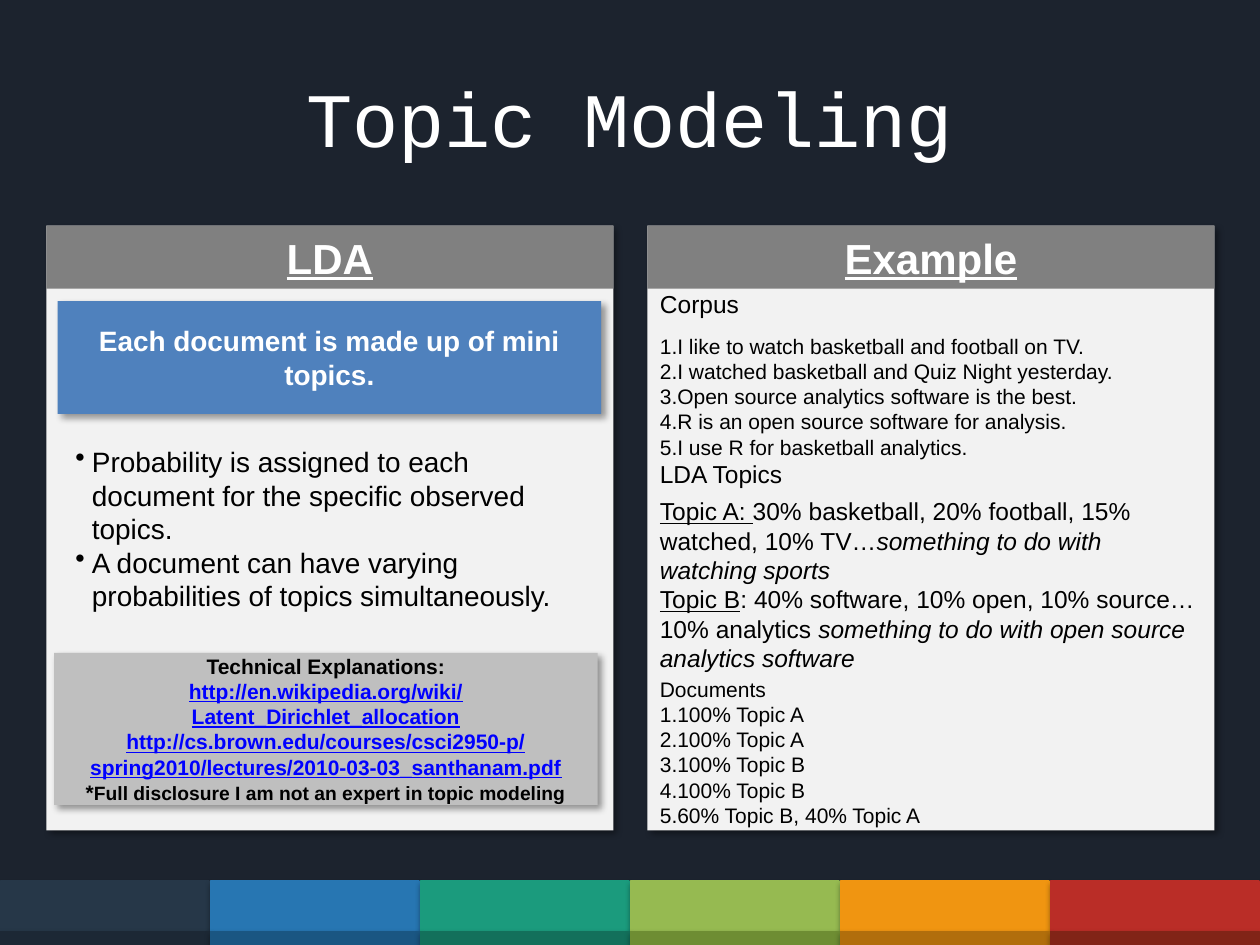
"""Build the Topic Modeling slide."""
import pptx
import pptx.dml.color
import pptx.enum.shapes
import pptx.enum.text
import pptx.oxml
import pptx.oxml.ns
import pptx.util

Pt = pptx.util.Pt
ALIGN = pptx.enum.text.PP_ALIGN
ANCHOR = pptx.enum.text.MSO_ANCHOR
FIT = pptx.enum.text.MSO_AUTO_SIZE
RECT = pptx.enum.shapes.MSO_SHAPE.RECTANGLE

COLORS = {
    "back": "1C232E", "panel": "F2F2F2", "header": "808080", "blue": "4F81BD",
    "note": "BFBFBF", "white": "FFFFFF", "black": "000000", "link": "0000FF",
}
STRIPES = [
    ("263748", "1C2835"), ("2776B2", "1A5682"), ("1B9B7D", "13705B"),
    ("96BA51", "6E8D33"), ("F09511", "B16E0C"), ("BA2D27", "812417"),
]
STRIPE_ROWS = [(503.5, 29), (532.5, 7.5)]
PANELS = [("LDA", 26.5), ("Example", 370)]
PANEL_TOP, PANEL_W, PANEL_H, HEADER_H = 129, 324, 345.5, 36

KEY_POINT = ["Each document is made up of mini topics."]
POINTS = [
    "Probability is assigned to each document for the specific observed topics.",
    "A document can have varying probabilities of topics simultaneously.",
]
LINK = {"color": "link", "underline": True}
EXPLANATIONS = [
    "Technical Explanations:",
    [("http://en.wikipedia.org/wiki/Latent_Dirichlet_allocation", LINK)],
    [("http://cs.brown.edu/courses/csci2950-p/spring2010/lectures/2010-03-03_santhanam.pdf", LINK)],
    [("*", {}), ("Full disclosure I am not an expert in topic modeling", {"size": 11})],
]
CORPUS = [
    "I like to watch basketball and football on TV.",
    "I watched basketball and Quiz Night yesterday.",
    "Open source analytics software is the best.",
    "R is an open source software for analysis.",
    "I use R for basketball analytics.",
]
TOPICS = [
    [("Topic A: ", {"underline": True}),
     ("30% basketball, 20% football, 15% watched, 10% TV…", {}),
     ("something to do with watching sports", {"italic": True})],
    [("Topic B", {"underline": True}),
     (": 40% software, 10% open, 10% source…10% analytics ", {}),
     ("something to do with open source analytics software", {"italic": True})],
]
DOCUMENTS = [
    "Documents", "100% Topic A", "100% Topic A", "100% Topic B",
    "100% Topic B", "60% Topic B, 40% Topic A",
]
BULLET = '<a:buChar {} char="•"/>'
NUMBER = '<a:buAutoNum {} type="arabicPeriod"/>'
SOFT = {"alpha": 35, "blur": 3.15, "dist": 1.8, "angle": 90}
DEEP = {"alpha": 40, "blur": 4, "dist": 3, "angle": 45}


def rgb(value):
    return pptx.dml.color.RGBColor.from_string(value)


def add_xml(parent, xml):
    parent.append(pptx.oxml.parse_xml(xml.format(pptx.oxml.ns.nsdecls("a"))))


def add_rect(slide, box, fill, line=None, shadow=None):
    sp = slide.shapes.add_shape(RECT, *map(Pt, box))
    sp.fill.solid()
    sp.fill.fore_color.rgb = rgb(fill)
    if line:
        sp.line.color.rgb = rgb(line)
        sp.line.width = Pt(0.75)
    else:
        sp.line.fill.background()
    sp.shadow.inherit = False
    if shadow:
        effects = sp._element.spPr.find(pptx.oxml.ns.qn("a:effectLst"))
        add_xml(effects, (
            f'<a:outerShdw {{}} blurRad="{int(Pt(shadow["blur"]))}" dist="{int(Pt(shadow["dist"]))}" '
            f'dir="{shadow["angle"] * 60000}" algn="tl" rotWithShape="0"><a:srgbClr val="000000">'
            f'<a:alpha val="{shadow["alpha"] * 1000}"/></a:srgbClr></a:outerShdw>'))
    return sp


def add_box(slide, box, wrap=True):
    sp = slide.shapes.add_textbox(*map(Pt, box))
    sp.text_frame.word_wrap = wrap
    sp.text_frame.auto_size = FIT.SHAPE_TO_FIT_TEXT
    return sp


def write(sp, paragraphs, size=12, color="black", font="Arial", bold=False,
          align=ALIGN.LEFT, anchor=ANCHOR.TOP, marker=None, indent=9, plain=0):
    tf = sp.text_frame
    tf.vertical_anchor = anchor
    for i, runs in enumerate(paragraphs):
        p = tf.paragraphs[0] if i == 0 else tf.add_paragraph()
        p.alignment = align
        if marker and i >= plain:
            pPr = p._p.get_or_add_pPr()
            pPr.set("marL", str(int(Pt(indent))))
            pPr.set("indent", str(-int(Pt(indent))))
            add_xml(pPr, marker)
        for text, style in [(runs, {})] if isinstance(runs, str) else runs:
            r = p.add_run()
            r.text = text
            r.font.name = font
            r.font.size = Pt(style.get("size", size))
            r.font.bold = bold
            r.font.italic = style.get("italic", False)
            r.font.underline = style.get("underline", False)
            r.font.color.rgb = rgb(COLORS[style.get("color", color)])


def main():
    prs = pptx.Presentation()
    prs.slide_width, prs.slide_height = Pt(720), Pt(540)
    s = prs.slides.add_slide(prs.slide_layouts[6])
    s.background.fill.solid()
    s.background.fill.fore_color.rgb = rgb(COLORS["back"])

    pitch = 720 / len(STRIPES)
    for row, (top, height) in enumerate(STRIPE_ROWS):
        for col, shades in enumerate(STRIPES):
            add_rect(s, (col * pitch + 0.5, top, pitch - 1, height),
                     shades[row], line=shades[row], shadow=SOFT)

    title = s.shapes.add_textbox(Pt(36), Pt(21.6), Pt(648), Pt(90))
    title.text_frame.word_wrap = True
    centred = {"align": ALIGN.CENTER, "anchor": ANCHOR.MIDDLE}
    write(title, ["Topic Modeling"], size=44, color="white", font="Courier New", **centred)

    for heading, left in PANELS:
        add_rect(s, (left, PANEL_TOP, PANEL_W, PANEL_H), COLORS["panel"], shadow=DEEP)
        header = add_rect(s, (left, PANEL_TOP, PANEL_W, HEADER_H), COLORS["header"])
        write(header, [[(heading, {"underline": True})]], size=24, color="white", bold=True, **centred)

    write(add_box(s, (36, 250.5, 305, 104.5)), POINTS, size=16, marker=BULLET, indent=9.5)
    key = add_rect(s, (33, 172, 310.5, 64.5), COLORS["blue"], shadow=DEEP)
    write(key, KEY_POINT, size=16, color="white", bold=True, **centred)
    note = add_rect(s, (31, 373, 310.5, 87), COLORS["note"], shadow=DEEP)
    write(note, EXPLANATIONS, bold=True, **centred)

    left = PANELS[1][1]
    write(add_box(s, (left, 187, 322.5, 80)), CORPUS, marker=NUMBER)
    write(add_box(s, (left, 280, PANEL_W, 126)), TOPICS, size=14)
    write(add_box(s, (left, 161.5, 73.5, 29), wrap=False), ["Corpus"], size=14)
    write(add_box(s, (left, 258.5, 105, 29), wrap=False), ["LDA Topics"], size=14)
    write(add_box(s, (left, 383, PANEL_W, 94)), DOCUMENTS, marker=NUMBER, plain=1)
    prs.save("out.pptx")


if __name__ == "__main__":
    main()
